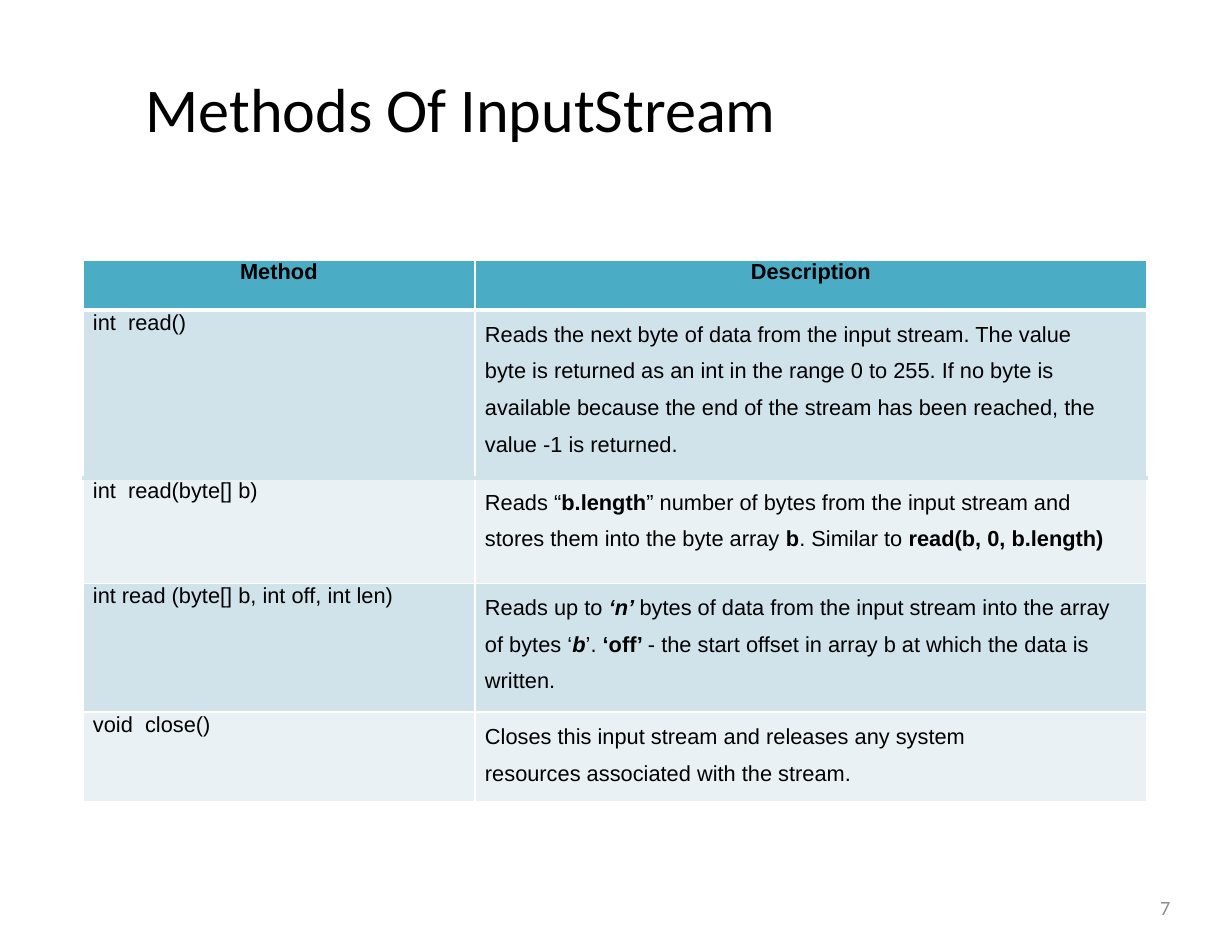
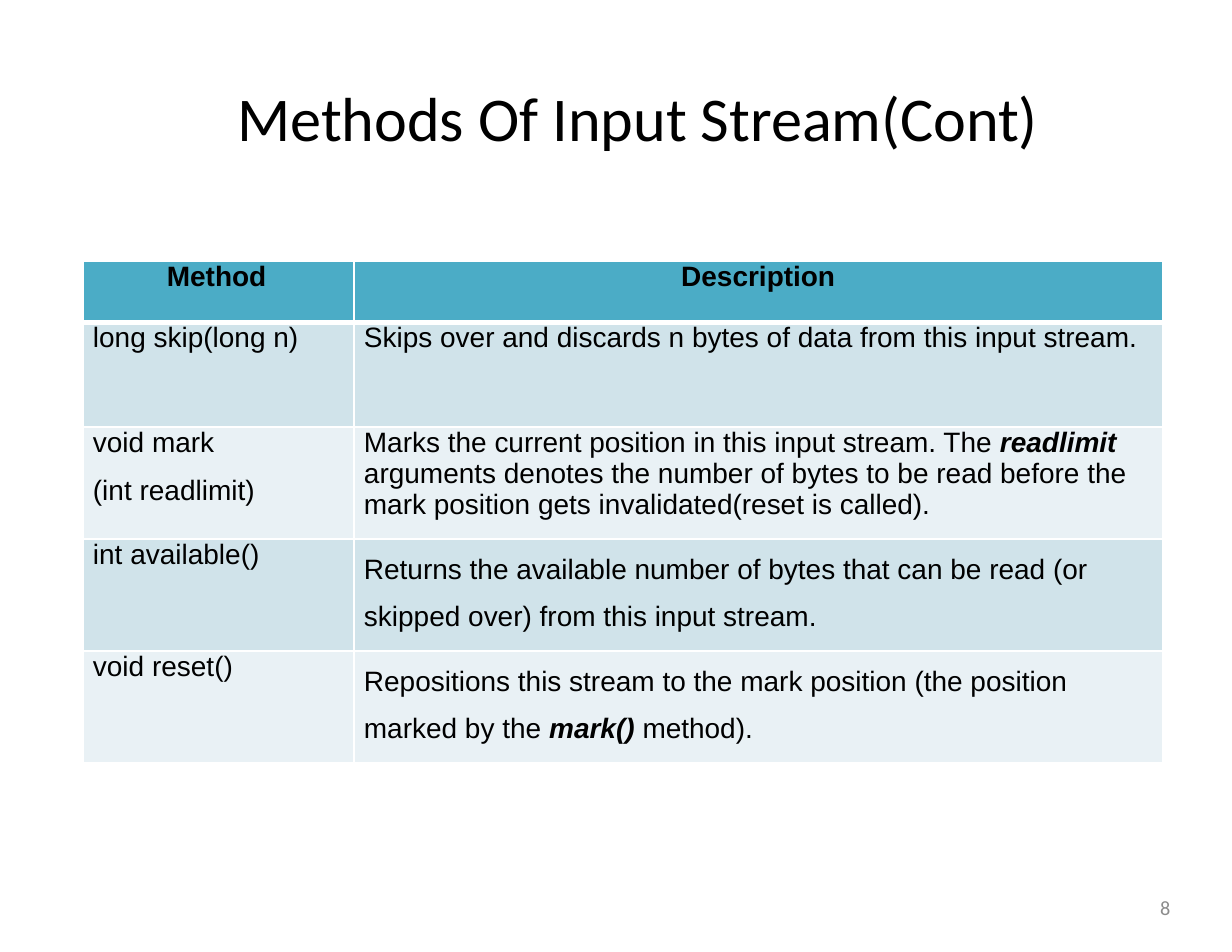
import dataclasses

import pptx
import pptx.dml.color
import pptx.enum.text
import pptx.oxml
import pptx.oxml.ns
import pptx.util

Inches = pptx.util.Inches
Pt = pptx.util.Pt
Align = pptx.enum.text.PP_ALIGN


@dataclasses.dataclass(frozen=True)
class Theme:
    """Colours, fonts and sizes shared by the slides."""

    ink: str = "000000"
    grey: str = "8C8C8C"
    rule: str = "FFFFFF"
    head: str = "4BACC6"
    bands: tuple = ("D0E3EA", "E9F1F5")
    title_font: str = "Calibri"
    table_font: str = "Arial"
    title_size: float = 40
    page_size: float = 13
    thin: float = 1.18
    thick: float = 3.1
    inset: float = 0.09
    page_box: tuple = (7.88, 7.88, 2.57, 0.45)


THEME = Theme()


@dataclasses.dataclass
class Row:
    """A method with its description, line spacing and right margin."""

    method: str
    text: str
    lead: float = 1.5
    right: float = 0.1


@dataclasses.dataclass
class Page:
    """The content and measures of one table slide."""

    number: str
    title: str
    title_box: tuple
    indent: float
    table_box: tuple
    cols: tuple
    heights: tuple
    size: float
    rows: list
    rules: dict
    head_left: float = 0


PAGES = [
    Page(
        number="7",
        title="Methods Of InputStream",
        title_box=(-0.42, 0.63, 9.9, 0.67),
        indent=1.72,
        table_box=(0.74, 2.32, 9.5, 4.84),
        cols=(3.5, 6),
        heights=(0.45, 1.5, 0.94, 1.15, 0.8),
        size=14,
        rules={1: (THEME.rule, THEME.thick), 2: (THEME.bands[0], 2.57)},
        rows=[
            Row("int  read()",
                "Reads the next byte of data from the input stream. The value byte is "
                "returned as an int in the range 0 to 255. If no byte is available because "
                "the end of the stream has been reached, the value -1 is returned.",
                right=0.35),
            Row("int  read(byte[] b)",
                "Reads “*b.length*” number of bytes from the input stream and stores them "
                "into the byte array *b*. Similar to *read(b, 0, b.length)*"),
            Row("int read (byte[] b, int off, int len)",
                "Reads up to */‘n’ *bytes of data from the input stream into the array of "
                "bytes ‘*/b*’. *‘off’ *- the start offset in array b at which the data is "
                "written.",
                right=0.2),
            Row("void  close()",
                "Closes this input stream and releases any system resources associated "
                "with the stream.",
                right=1),
        ],
    ),
    Page(
        number="8",
        title="Methods Of Input Stream(Cont)",
        title_box=(0.55, 0.71, 9.9, 0.67),
        indent=1.57,
        table_box=(0.74, 2.33, 9.64, 4.48),
        cols=(2.42, 7.22),
        heights=(0.55, 0.93, 1, 1, 1),
        size=18,
        head_left=0.75,
        rules={1: (THEME.rule, THEME.thick)},
        rows=[
            Row("long skip(long n)",
                "Skips over and discards n bytes of data from this input stream.",
                lead=1),
            Row("void mark\n(int readlimit)",
                "Marks the current position in this input stream. The */readlimit *"
                "arguments denotes the number of bytes to be read before the mark position "
                "gets invalidated(reset is called).",
                lead=1),
            Row("int available()",
                "Returns the available number of bytes that can be read (or skipped over) "
                "from this input stream."),
            Row("void reset()",
                "Repositions this stream to the mark position (the position marked by the "
                "*/mark() *method)."),
        ],
    ),
]


def tint(hue):
    """Return the colour object for a hex string."""
    return pptx.dml.color.RGBColor.from_string(hue)


def style(run, font, size, hue, bold=False, slant=False):
    """Format one run."""
    run.font.name = font
    run.font.size = Pt(size)
    run.font.color.rgb = tint(hue)
    run.font.bold = bold
    run.font.italic = slant


def pad(item, left=0, right=0):
    """Set the side margins of a cell or text frame and clear the others."""
    item.margin_left = Inches(left)
    item.margin_right = Inches(right)
    item.margin_top = item.margin_bottom = 0


def line(shape, text, size, hue, align, left=0):
    """Fill a shape with one middle-anchored line of text."""
    frame = shape.text_frame
    frame.text = text
    frame.word_wrap = True
    frame.auto_size = pptx.enum.text.MSO_AUTO_SIZE.NONE
    frame.vertical_anchor = pptx.enum.text.MSO_ANCHOR.MIDDLE
    pad(frame, left)
    frame.paragraphs[0].alignment = align
    style(frame.paragraphs[0].runs[0], THEME.title_font, size, hue)


def put_title(slide, page):
    """Place the title placeholder in its box."""
    shape = slide.shapes.title
    shape.left, shape.top, shape.width, shape.height = map(Inches, page.title_box)
    line(shape, page.title, THEME.title_size, THEME.ink, Align.LEFT, page.indent)


def put_page(slide, page):
    """Place the page number at the lower right."""
    shape = slide.shapes.add_textbox(*map(Inches, THEME.page_box))
    line(shape, page.number, THEME.page_size, THEME.grey, Align.RIGHT)


def edge(cell, side, hue, width):
    """Draw one border of a cell."""
    props = cell._tc.get_or_add_tcPr()
    props.append(pptx.oxml.parse_xml(
        f'<a:ln{side} {pptx.oxml.ns.nsdecls("a")} w="{Pt(width)}">'
        f'<a:solidFill><a:srgbClr val="{hue}"/></a:solidFill></a:ln{side}>'
    ))


def paint(cell, index, rules, hue):
    """Give a cell its borders and fill."""
    plain = (THEME.rule, THEME.thin)
    edge(cell, "L", *plain)
    edge(cell, "R", *plain)
    edge(cell, "T", *rules.get(index, plain))
    edge(cell, "B", *rules.get(index + 1, plain))
    cell.fill.solid()
    cell.fill.fore_color.rgb = tint(hue)


def put_head(cell, text, size, left):
    """Write a heading, centred unless it has a left indent."""
    pad(cell, left)
    cell.text_frame.text = text
    para = cell.text_frame.paragraphs[0]
    para.alignment = Align.LEFT if left else Align.CENTER
    style(para.runs[0], THEME.table_font, size, THEME.ink, bold=True)


def put_name(cell, text, size):
    """Write a method signature, one paragraph per line."""
    pad(cell, THEME.inset)
    cell.text_frame.text = text
    for order, para in enumerate(cell.text_frame.paragraphs):
        para.space_before = Pt(10.9 if order else 0)
        style(para.runs[0], THEME.table_font, size, THEME.ink)


def put_text(cell, row, size):
    """Write a description; stars mark bold, a leading slash adds italics."""
    pad(cell, THEME.inset, row.right)
    para = cell.text_frame.paragraphs[0]
    para.line_spacing = row.lead
    for order, chunk in enumerate(row.text.split("*")):
        if chunk:
            run = para.add_run()
            run.text = chunk.removeprefix("/")
            style(run, THEME.table_font, size, THEME.ink,
                  bold=order % 2 == 1, slant=chunk.startswith("/"))


def put_table(slide, page):
    """Build the table of methods in its box."""
    frame = slide.shapes.add_table(
        len(page.heights), len(page.cols), *map(Inches, page.table_box))
    table = frame.table
    table.horz_banding = False
    for col, width in zip(table.columns, page.cols):
        col.width = Inches(width)
    for index, height in enumerate(page.heights):
        table.rows[index].height = Inches(height)
        hue = THEME.bands[(index - 1) % 2] if index else THEME.head
        for cell in table.rows[index].cells:
            paint(cell, index, page.rules, hue)
    put_head(table.cell(0, 0), "Method", page.size, page.head_left)
    put_head(table.cell(0, 1), "Description", page.size, 0)
    for index, row in enumerate(page.rows, 1):
        put_name(table.cell(index, 0), row.method, page.size)
        put_text(table.cell(index, 1), row, page.size)


def main():
    """Build the slides and save the deck."""
    deck = pptx.Presentation()
    deck.slide_width = Inches(11)
    deck.slide_height = Inches(8.5)
    for page in PAGES:
        slide = deck.slides.add_slide(deck.slide_layouts[5])
        put_title(slide, page)
        put_page(slide, page)
        put_table(slide, page)
    deck.save("out.pptx")


if __name__ == "__main__":
    main()
